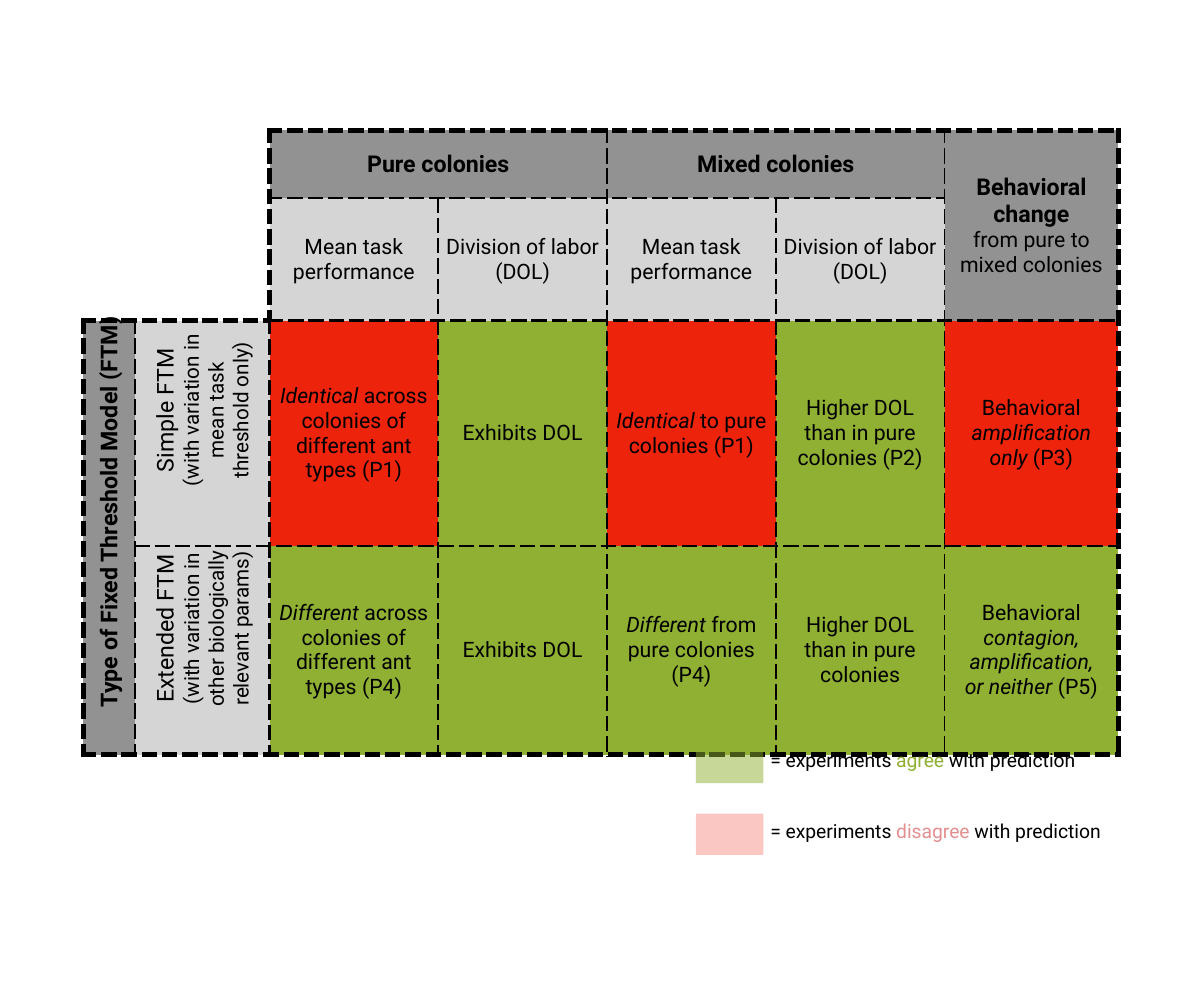
"""Build the slide of Fixed Threshold Model predictions with a colour legend."""
from pptx import Presentation
from pptx.dml.color import RGBColor
from pptx.enum.text import MSO_ANCHOR, PP_ALIGN
from pptx.oxml import parse_xml
from pptx.oxml.ns import nsdecls
from pptx.oxml.xmlchemy import OxmlElement
from pptx.util import Pt

BLACK = RGBColor(0, 0, 0)
DARK_GREY = RGBColor(0x92, 0x92, 0x92)
LIGHT_GREY = RGBColor(0xD6, 0xD5, 0xD5)
GREEN = RGBColor(0x8F, 0xB0, 0x33)
RED = RGBColor(0xEE, 0x23, 0x0C)
SOFT_RED = RGBColor(0xE4, 0x8E, 0x8F)
FONT = "Roboto"
NO_STYLE = "{2D5ABB26-0587-4C30-8999-92F81FD0307C}"

HEADING, ITALIC = {"bold": True, "size": 12}, {"italic": True}
DARK, LIGHT, AGREE, DISAGREE = (DARK_GREY, 100), (LIGHT_GREY, 100), (GREEN, 50), (RED, 25)

# Each cell: row, column, row span, column span, fill, paragraphs of (text, format) runs
PREDICTIONS = [
    (0, 0, 2, 1, None, []),
    (0, 1, 2, 1, None, []),
    (0, 2, 1, 2, DARK, [[("Pure colonies", HEADING)]]),
    (0, 4, 1, 2, DARK, [[("Mixed colonies", HEADING)]]),
    (0, 6, 2, 1, DARK, [[("Behavioral change", HEADING)], [("from pure to", {})],
                        [("mixed colonies", {})]]),
    (1, 2, 1, 1, LIGHT, [[("Mean task performance", {})]]),
    (1, 3, 1, 1, LIGHT, [[("Division of labor (DOL)", {})]]),
    (1, 4, 1, 1, LIGHT, [[("Mean task performance", {})]]),
    (1, 5, 1, 1, LIGHT, [[("Division of labor (DOL)", {})]]),
    (2, 0, 2, 1, DARK, []),
    (2, 1, 1, 1, LIGHT, []),
    (2, 2, 1, 1, DISAGREE, [[("Identical ", ITALIC),
                             ("across colonies of different ant types (P1)", {})]]),
    (2, 3, 1, 1, AGREE, [[("Exhibits DOL", {})]]),
    (2, 4, 1, 1, DISAGREE, [[("Identical", ITALIC), (" to pure colonies (P1)", {})]]),
    (2, 5, 1, 1, AGREE, [[("Higher DOL than in pure colonies (P2)", {})]]),
    (2, 6, 1, 1, DISAGREE, [[("Behavioral ", {}), ("amplification only", ITALIC), (" (P3)", {})]]),
    (3, 1, 1, 1, LIGHT, []),
    (3, 2, 1, 1, AGREE, [[("Different ", ITALIC),
                          ("across colonies of different ant types (P4)", {})]]),
    (3, 3, 1, 1, AGREE, [[("Exhibits DOL", {})]]),
    (3, 4, 1, 1, AGREE, [[("Different ", ITALIC), ("from pure colonies (P4)", {})]]),
    (3, 5, 1, 1, AGREE, [[("Higher DOL than in pure colonies", {})]]),
    (3, 6, 1, 1, AGREE, [[("Behavioral ", {}), ("contagion, amplification,", ITALIC)],
                         [("or neither", ITALIC), (" (P5)", {})]]),
]
LEGEND = [
    (0, AGREE, "agree", GREEN),
    (2, DISAGREE, "disagree", SOFT_RED),
]
# Each label: centre x, centre y, width, height, wrap, runs
ROW_LABELS = [
    (104.4, 212.4, 83.5, 57.6, True,
     [("Simple FTM", {"size": 12}),
      (" (with variation in mean task threshold only)", {"size": 10.7})]),
    (104.4, 325.4, 90, 57.6, True,
     [("Extended FTM", {"size": 12}),
      (" (with variation in other biologically relevant params)", {"size": 10.7})]),
    (56, 265, 219, 18.7, False, [("Type of Fixed Threshold Model (FTM)", HEADING)]),
]


def add_run(paragraph, text, size=11, bold=False, italic=False, color=BLACK):
    """Append formatted text to a paragraph."""
    run = paragraph.add_run()
    run.text = text
    font = run.font
    font.name, font.size, font.bold, font.italic = FONT, Pt(size), bold, italic
    font.color.rgb = color


def fill_paragraphs(text_frame, paragraphs, alignment=PP_ALIGN.CENTER):
    """Write paragraphs of runs into a text frame."""
    for index, runs in enumerate(paragraphs):
        paragraph = text_frame.add_paragraph() if index else text_frame.paragraphs[0]
        paragraph.alignment = alignment
        for text, text_format in runs:
            add_run(paragraph, text, **text_format)


def set_insets(target, inset):
    """Give a cell or text frame the same inset on each side."""
    target.margin_left = target.margin_right = Pt(inset)
    target.margin_top = target.margin_bottom = Pt(inset)


def fill_cell(cell, fill):
    """Fill a cell with a colour at a given opacity."""
    if fill is None:
        cell.fill.background()
        return
    color, opacity = fill
    cell.fill.solid()
    cell.fill.fore_color.rgb = color
    if opacity < 100:
        alpha = OxmlElement("a:alpha")
        alpha.set("val", str(opacity * 1000))
        cell.fill._xPr.find(".//" + color_tag).append(alpha)


color_tag = OxmlElement("a:srgbClr").tag


def shrink_empty(cell):
    """Keep an empty cell from stretching its row."""
    set_insets(cell, 0)
    ending = OxmlElement("a:endParaRPr")
    ending.set("sz", "800")
    cell.text_frame.paragraphs[0]._p.append(ending)


def add_plain_table(slide, left, top, widths, heights):
    """Add a table without style, with the given column widths and row heights."""
    frame = slide.shapes.add_table(len(heights), len(widths), Pt(left), Pt(top),
                                   Pt(sum(widths)), Pt(sum(heights)))
    table = frame.table
    table.first_row = table.horz_banding = False
    table._tbl.tblPr[0].text = NO_STYLE
    for column, width in zip(table.columns, widths):
        column.width = Pt(width)
    for row, height in zip(table.rows, heights):
        row.height = Pt(height)
    return table


def vertical_weight(row, edge):
    """Return the width of the vertical border at a column edge."""
    if edge < 2 and row < 2:
        return 0
    return {0: 3, 2: 3 if row < 2 else 2, 7: 3}.get(edge, 1)


def horizontal_weight(edge, column):
    """Return the width of the horizontal border at a row edge."""
    if column < 2 and edge == 0:
        return 0
    return {0: 3, 2: 3 if column < 2 else 2, 4: 3}.get(edge, 1)


def set_borders(cell, weights):
    """Draw dashed borders on the sides that have a width."""
    properties = cell._tc.get_or_add_tcPr()
    for side, weight in zip("LRTB", weights):
        if weight:
            properties.append(parse_xml(
                f'<a:ln{side} {nsdecls("a")} w="{Pt(weight)}"><a:solidFill>'
                f'<a:srgbClr val="{BLACK}"/></a:solidFill>'
                f'<a:prstDash val="dash"/></a:ln{side}>'))


def add_predictions(slide):
    """Add the main table of predictions."""
    table = add_plain_table(slide, 43.2, 67.5, [26.8, 69.6] + [87.4] * 4 + [90],
                            [35.2, 63.4, 116.6, 108])
    for row, column, row_span, column_span, fill, paragraphs in PREDICTIONS:
        cell = table.cell(row, column)
        last_row, last_column = row + row_span, column + column_span
        weights = (vertical_weight(row, column), vertical_weight(row, last_column),
                   horizontal_weight(row, column), horizontal_weight(last_row, column))
        if row_span * column_span > 1:
            cell.merge(table.cell(last_row - 1, last_column - 1))
        for part_row in range(row, last_row):
            for part_column in range(column, last_column):
                part = table.cell(part_row, part_column)
                set_borders(part, weights)
                fill_cell(part, fill)
        set_insets(cell, 4)
        cell.vertical_anchor = MSO_ANCHOR.MIDDLE
        fill_paragraphs(cell.text_frame, paragraphs)


def add_row_labels(slide):
    """Add the labels turned to read upwards."""
    for center_x, center_y, width, height, wrap, runs in ROW_LABELS:
        shape = slide.shapes.add_textbox(Pt(center_x - width / 2), Pt(center_y - height / 2),
                                         Pt(width), Pt(height))
        shape.rotation = 270
        text_frame = shape.text_frame
        text_frame.word_wrap = wrap
        text_frame.vertical_anchor = MSO_ANCHOR.MIDDLE
        set_insets(text_frame, 2)
        fill_paragraphs(text_frame, [runs])


def add_legend(slide):
    """Add the legend table."""
    table = add_plain_table(slide, 360.3, 384.7, [35, 185], [20.8, 15.8, 21.4])
    for row, fill, word, color in LEGEND:
        fill_cell(table.cell(row, 0), fill)
        text_cell = table.cell(row, 1)
        set_insets(text_cell, 3.6)
        small = {"size": 10}
        fill_paragraphs(text_cell.text_frame,
                        [[("= experiments ", small), (word, {"size": 10, "color": color}),
                          (" with prediction", small)]], PP_ALIGN.LEFT)
    for cell in table.iter_cells():
        if not cell.text:
            shrink_empty(cell)


def main():
    """Build and save the presentation."""
    presentation = Presentation()
    presentation.slide_width, presentation.slide_height = Pt(623.5), Pt(510.5)
    slide = presentation.slides.add_slide(presentation.slide_layouts[6])
    add_predictions(slide)
    add_row_labels(slide)
    add_legend(slide)
    presentation.save("out.pptx")


if __name__ == "__main__":
    main()
